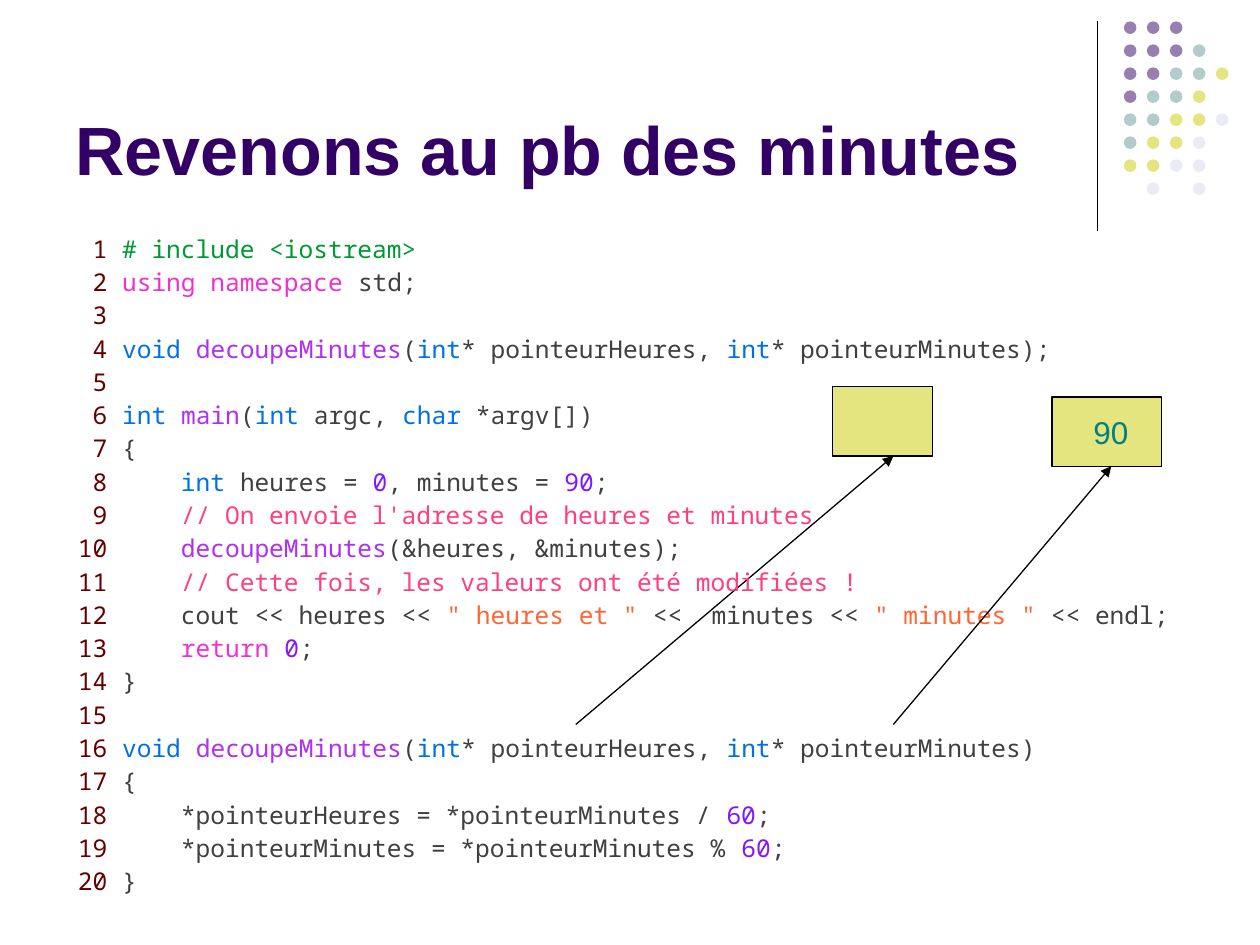
from dataclasses import dataclass

from lxml import etree
from pptx import Presentation
from pptx import util as u
from pptx.dml.color import RGBColor
from pptx.enum import shapes, text
from pptx.oxml.ns import qn


@dataclass(frozen=True)
class Theme:
    sans: str = "Arial"
    mono: str = "Noto Sans Mono"
    title_size: int = 39
    code_size: int = 14
    value_size: int = 18
    purple: str = "330066"
    teal: str = "669999"
    yellow: str = "CCCC00"
    lilac: str = "D8D8EC"
    black: str = "000000"
    value: str = "008080"
    number: str = "660000"
    include: str = "009933"
    keyword: str = "F030D0"
    type: str = "0070E6"
    function: str = "B030F0"
    plain: str = "404040"
    literal: str = "8016FF"
    comment: str = "FF4080"
    string: str = "FF6633"


theme = Theme()
rgb = RGBColor.from_string


def add_tinted(kind, left, top, width, height, color):
    """Add a half-transparent shape."""
    shape = page.shapes.add_shape(
        kind, u.Inches(left), u.Inches(top), u.Inches(width), u.Inches(height))
    shape.shadow.inherit = False
    shape.fill.solid()
    shape.fill.fore_color.rgb = rgb(color)
    tint = shape._element.spPr.find(qn("a:solidFill")).find(qn("a:srgbClr"))
    etree.SubElement(tint, qn("a:alpha"), val="50000")
    return shape


def add_line(start, end, arrow=True):
    """Add a thin black line, with an arrowhead at its end if wanted."""
    line = page.shapes.add_connector(
        shapes.MSO_CONNECTOR.STRAIGHT, *(u.Inches(n) for n in start + end))
    line.line.color.rgb = rgb(theme.black)
    line.line.width = u.Pt(0.75)
    if arrow:
        etree.SubElement(line.line._get_or_add_ln(), qn("a:tailEnd"), type="triangle")
    etree.SubElement(line._element.spPr, qn("a:effectLst"))


deck = Presentation()
deck.slide_width, deck.slide_height = u.Inches(10), u.Inches(7.5)
page = deck.slides.add_slide(deck.slide_layouts[5])

# Corner decoration: a rule and a grid of dots
add_line((8.71, 0.17), (8.71, 1.83), arrow=False)
dot_colors = {"P": theme.purple, "T": theme.teal, "Y": theme.yellow, "L": theme.lilac}
dot_rows = ["PPP", "PPPT", "PPTTY", "PTTY", "TTYYL", "TYYL", "YYLL", " L L"]
dot_pitch = 0.73 / 4
for row, letters in enumerate(dot_rows):
    for column, letter in enumerate(letters):
        if letter in dot_colors:
            dot = add_tinted(shapes.MSO_SHAPE.OVAL, 8.92 + column * dot_pitch,
                             0.17 + row * dot_pitch, 0.1, 0.1, dot_colors[letter])
            dot.line.fill.background()

# Title
title = page.shapes.title
title.left, title.top = u.Inches(0.5), u.Inches(0.13)
title.width, title.height = u.Inches(8.25), u.Inches(1.42)
title.text_frame.text = "Revenons au pb des minutes"
title.text_frame.vertical_anchor = text.MSO_ANCHOR.BOTTOM
para = title.text_frame.paragraphs[0]
para.alignment = text.PP_ALIGN.LEFT
para.font.name, para.font.size = theme.sans, u.Pt(theme.title_size)
para.font.bold = True
para.font.color.rgb = rgb(theme.purple)

# Arrow from the first parameter, behind the code
add_line((4.57, 5.75), (7.09, 3.62))

# Code listing: one list of (role, words) spans per line
signature = [("type", "void "), ("function", "decoupeMinutes"), ("plain", "("),
             ("type", "int"), ("plain", "* pointeurHeures, "),
             ("type", "int"), ("plain", "* pointeurMinutes)")]
code = [
    [("include", "# include <iostream>")],
    [("keyword", "using namespace "), ("plain", "std;")],
    [],
    signature + [("plain", ";")],
    [],
    [("type", "int "), ("function", "main"), ("plain", "("), ("type", "int "),
     ("plain", "argc, "), ("type", "char "), ("plain", "*argv[])")],
    [("plain", "{")],
    [("type", "    int "), ("plain", "heures = "), ("literal", "0"),
     ("plain", ", minutes = "), ("literal", "90"), ("plain", ";")],
    [("comment", "    // On envoie l'adresse de heures et minutes")],
    [("function", "    decoupeMinutes"), ("plain", "(&heures, &minutes);")],
    [("comment", "    // Cette fois, les valeurs ont été modifiées !")],
    [("plain", "    cout << heures << "), ("string", '" heures et " '),
     ("plain", "<<  minutes << "), ("string", '" minutes " '), ("plain", "<< endl;")],
    [("keyword", "    return "), ("literal", "0"), ("plain", ";")],
    [("plain", "}")],
    [],
    signature,
    [("plain", "{")],
    [("plain", "    *pointeurHeures = *pointeurMinutes / "), ("literal", "60"), ("plain", ";")],
    [("plain", "    *pointeurMinutes = *pointeurMinutes % "), ("literal", "60"), ("plain", ";")],
    [("plain", "}")],
]
listing = page.shapes.add_textbox(u.Inches(0.5), u.Inches(1.88), u.Inches(9), u.Inches(5.27))
frame = listing.text_frame
frame.word_wrap = True
for number, spans in enumerate(code, start=1):
    para = frame.paragraphs[0] if number == 1 else frame.add_paragraph()
    para.line_spacing, para.space_before = u.Pt(11.5), u.Pt(7.5)
    para.font.name, para.font.size = theme.mono, u.Pt(theme.code_size)
    indent = para._p.get_or_add_pPr()
    indent.set("marL", str(u.Inches(0.37)))
    indent.set("indent", str(u.Inches(-0.35)))
    label = f"{number:>2} " if spans else f"{number:>2}"
    for role, words in [("number", label)] + spans:
        span = para.add_run()
        span.text = words
        span.font.color.rgb = rgb(getattr(theme, role))

# Memory boxes
for left, top, width in [(6.61, 3.07, 0.79), (8.35, 3.15, 0.87)]:
    box = add_tinted(shapes.MSO_SHAPE.RECTANGLE, left, top, width, 0.55, theme.yellow)
    box.line.color.rgb = rgb(theme.black)
    box.line.width = u.Pt(0.75)

# Arrow from the second parameter, and the value it points to
add_line((7.09, 5.75), (8.82, 3.7))
value = page.shapes.add_textbox(u.Inches(8.58), u.Inches(3.23), u.Inches(0.63), u.Inches(0.4))
value.text_frame.word_wrap = True
para = value.text_frame.paragraphs[0]
para.text = "90"
para.font.name, para.font.size = theme.sans, u.Pt(theme.value_size)
para.font.color.rgb = rgb(theme.value)

deck.save("out.pptx")
